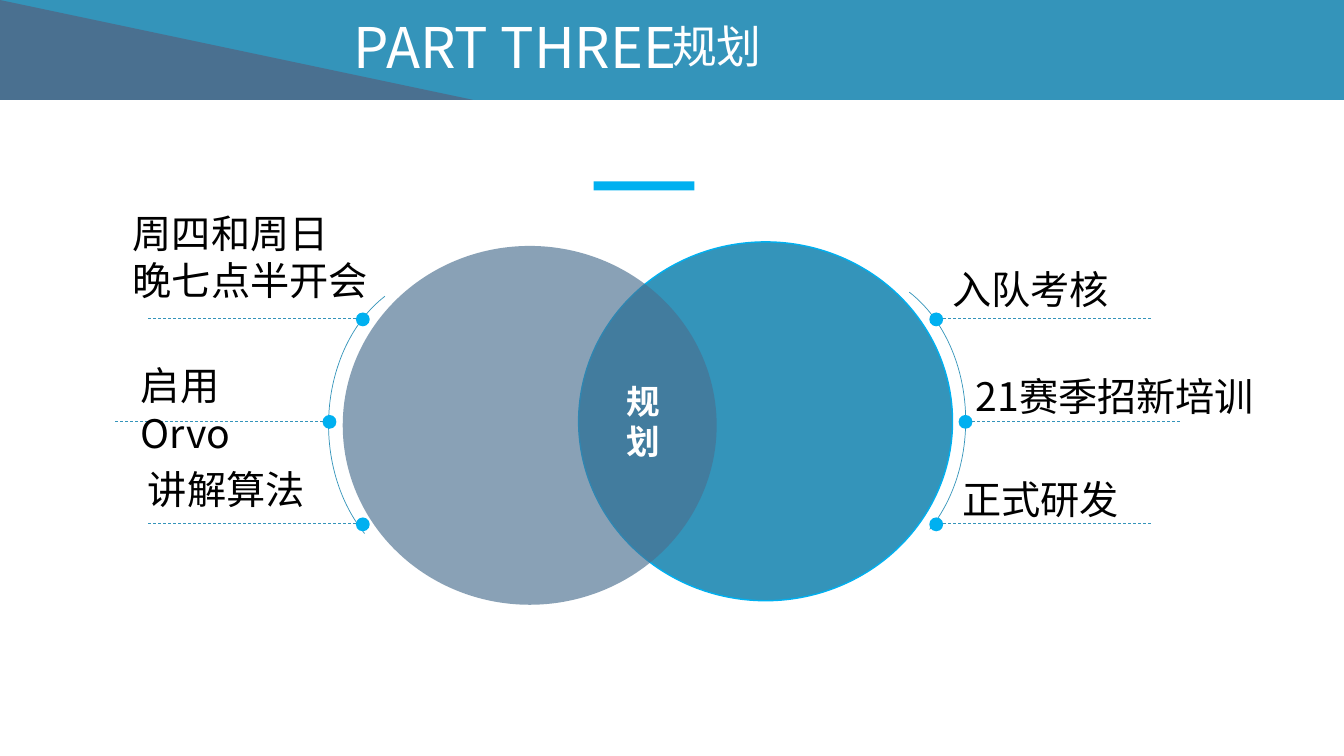
"""Build the planning slide: a banner and two overlapping circles with six labelled branches."""
from dataclasses import dataclass

import lxml.etree
import pptx
import pptx.dml.color
import pptx.enum.dml
import pptx.enum.shapes
import pptx.enum.text
import pptx.oxml.ns
import pptx.util

Pt = pptx.util.Pt
qn = pptx.oxml.ns.qn
Preset = pptx.enum.shapes.MSO_SHAPE

TEAL, SLATE, SKY = "3494BA", "4A7090", "00B0F0"
WHITE, BLACK = "FFFFFF", "000000"
SANS_JP, SANS_SC = "Noto Sans CJK JP", "Noto Sans CJK SC"
DOT_SIZE = 9.9
FIRST_DOT_TOP, ROW_STEP = 223.2, 73.2
LEADER_LENGTH = 149


@dataclass(frozen=True)
class Box:
    left: float
    top: float
    width: float
    height: float

    def lengths(self) -> tuple:
        return tuple(Pt(value) for value in (self.left, self.top, self.width, self.height))


@dataclass(frozen=True)
class Block:
    preset: Preset
    box: Box
    fill: str | None = None
    line: str | None = None
    line_width: float = 1
    opacity: int = 100
    adjustments: tuple = ()
    mirrored: bool = False


@dataclass(frozen=True)
class Label:
    text: str
    box: Box
    size: float = 28
    font: str = SANS_JP
    color: str = BLACK
    bold: bool = False


@dataclass(frozen=True)
class Branch:
    row: int
    dot_left: float
    on_left: bool
    label: Label


def rgb(color: str) -> pptx.dml.color.RGBColor:
    return pptx.dml.color.RGBColor.from_string(color)


def draw_block(slide, block: Block) -> None:
    shape = slide.shapes.add_shape(block.preset, *block.box.lengths())
    shape.shadow.inherit = False
    for index, value in enumerate(block.adjustments):
        shape.adjustments[index] = value
    if block.fill:
        shape.fill.solid()
        shape.fill.fore_color.rgb = rgb(block.fill)
    else:
        shape.fill.background()
    if block.line:
        shape.line.color.rgb = rgb(block.line)
        shape.line.width = Pt(block.line_width)
    else:
        shape.line.fill.background()
    properties = shape.element.spPr
    if block.opacity < 100:
        color = properties.find(qn("a:solidFill")).find(qn("a:srgbClr"))
        lxml.etree.SubElement(color, qn("a:alpha"), val=str(block.opacity * 1000))
    if block.mirrored:
        properties.find(qn("a:xfrm")).set("flipH", "1")


def write_label(shape, label: Label) -> None:
    shape.left, shape.top, shape.width, shape.height = label.box.lengths()
    frame = shape.text_frame
    frame.word_wrap = True
    frame.auto_size = pptx.enum.text.MSO_AUTO_SIZE.NONE
    frame.vertical_anchor = pptx.enum.text.MSO_ANCHOR.TOP
    paragraph = frame.paragraphs[0]
    paragraph.alignment = pptx.enum.text.PP_ALIGN.LEFT
    for index, line in enumerate(label.text.split("\n")):
        if index:
            paragraph.add_line_break()
        run = paragraph.add_run()
        run.text = line
        run.font.size = Pt(label.size)
        run.font.bold = label.bold
        run.font.color.rgb = rgb(label.color)
        run.font.name = label.font
        east_asian = lxml.etree.Element(qn("a:ea"), typeface=label.font)
        run.font._element.find(qn("a:latin")).addnext(east_asian)


def draw_label(slide, label: Label) -> None:
    write_label(slide.shapes.add_textbox(*label.box.lengths()), label)


def draw_branch(slide, branch: Branch) -> None:
    dot_top = FIRST_DOT_TOP + branch.row * ROW_STEP
    dot_box = Box(branch.dot_left, dot_top, DOT_SIZE, DOT_SIZE)
    draw_block(slide, Block(Preset.FLOWCHART_CONNECTOR, dot_box, SKY))
    inner = branch.dot_left + (0 if branch.on_left else DOT_SIZE)
    outer = inner + (-LEADER_LENGTH if branch.on_left else LEADER_LENGTH)
    leader_y = Pt(dot_top + 4.5)
    leader = slide.shapes.add_connector(
        pptx.enum.shapes.MSO_CONNECTOR.STRAIGHT, Pt(inner), leader_y, Pt(outer), leader_y)
    leader.line.color.rgb = rgb(TEAL)
    leader.line.width = Pt(0.5)
    leader.line.dash_style = pptx.enum.dml.MSO_LINE.DASH
    lxml.etree.SubElement(leader.element.spPr, qn("a:effectLst"))
    draw_label(slide, branch.label)


ARC_ANGLES = (176.796, 32.309)
BLOCKS = [
    Block(Preset.OVAL, Box(413.3, 172.8, 267.1, 256.3), TEAL, SKY),
    Block(Preset.RECTANGLE, Box(424.1, 129.6, 72, 6.5), SKY),
    Block(Preset.OVAL, Box(244.8, 175.7, 267.1, 256.3), SLATE, opacity=65),
    Block(Preset.ARC, Box(234.7, 196.6, 164.9, 213.8), line=TEAL, line_width=0.5,
          adjustments=ARC_ANGLES, mirrored=True),
    Block(Preset.ARC, Box(524.9, 193.7, 164.9, 213.8), line=TEAL, line_width=0.5,
          adjustments=ARC_ANGLES),
    Block(Preset.RECTANGLE, Box(0, 0, 960, 71.3), TEAL),
    Block(Preset.ISOSCELES_TRIANGLE, Box(0, 0, 337.7, 71.3), SLATE, adjustments=(0,)),
]
BRANCHES = [
    Branch(0, 254.2, True, Label("周四和周日\n晚七点半开会", Box(87.8, 146.2, 182.9, 74.9))),
    Branch(1, 230.4, True, Label("启用Orvo", Box(93.6, 254.9, 127.4, 41))),
    Branch(2, 254.2, True, Label("讲解算法", Box(98.6, 329, 141.8, 41))),
    Branch(0, 663.8, False, Label("入队考核", Box(673.2, 185.8, 149, 41))),
    Branch(1, 684.7, False, Label("21赛季招新培训", Box(689.8, 262.1, 221, 41))),
    Branch(2, 663.8, False, Label("正式研发", Box(680.4, 336.2, 142.6, 41))),
]
TITLE = Label("PART THREE", Box(245.5, 5, 295.9, 55.4), 40, color=WHITE)
SUBTITLE = Label("规划", Box(473, 10.1, 215.3, 46.1), 32, color=WHITE)
OVERLAP = Label("规划", Box(440.6, 268.6, 38.9, 65.5), 24, SANS_SC, WHITE, True)


def main() -> None:
    presentation = pptx.Presentation()
    presentation.slide_width, presentation.slide_height = Pt(960), Pt(540)
    slide = presentation.slides.add_slide(presentation.slide_layouts[5])
    for block in BLOCKS:
        draw_block(slide, block)
    for branch in BRANCHES:
        draw_branch(slide, branch)
    title = slide.shapes.title
    write_label(title, TITLE)
    title.element.getparent().append(title.element)
    for label in (SUBTITLE, OVERLAP):
        draw_label(slide, label)
    presentation.save("out.pptx")


if __name__ == "__main__":
    main()
